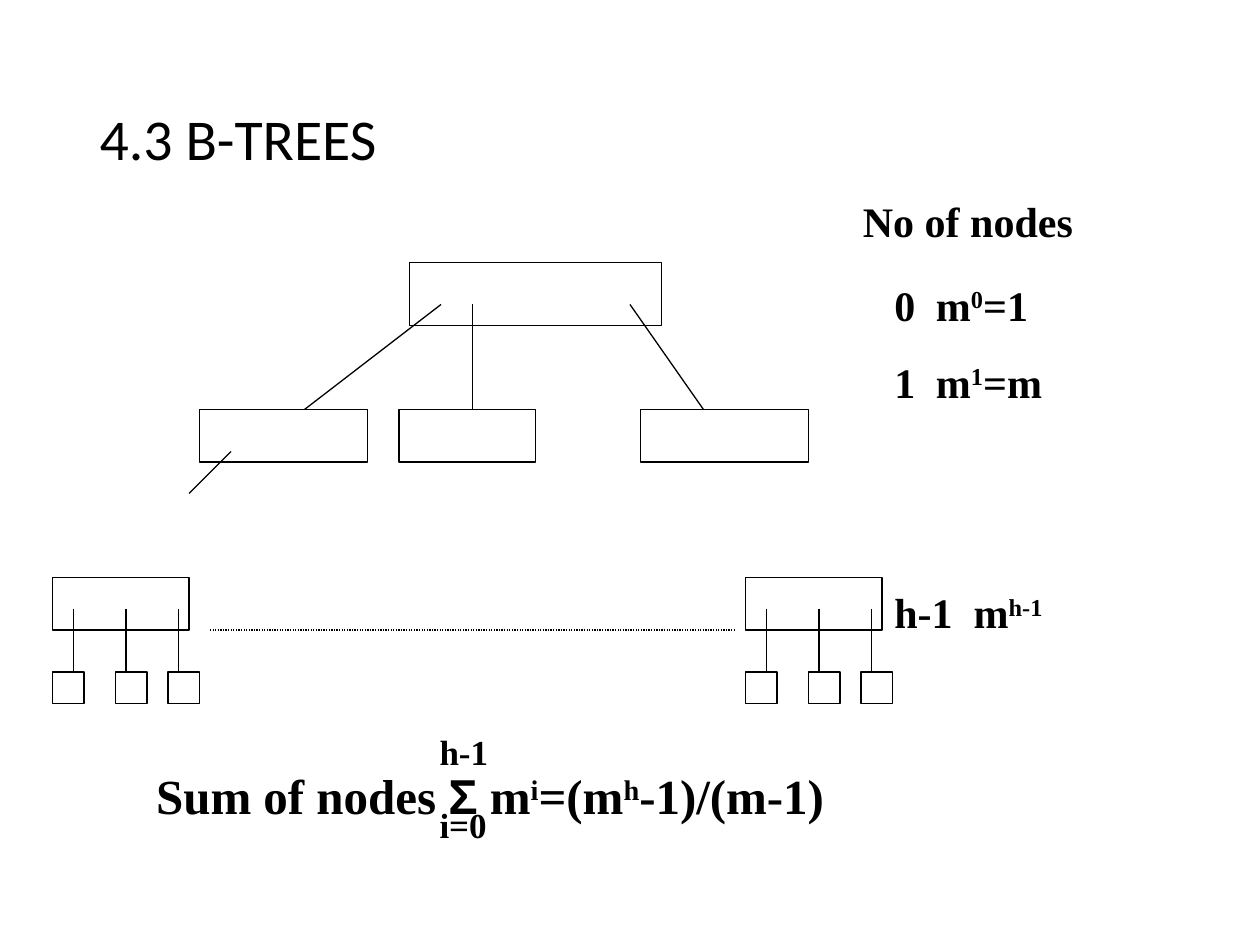
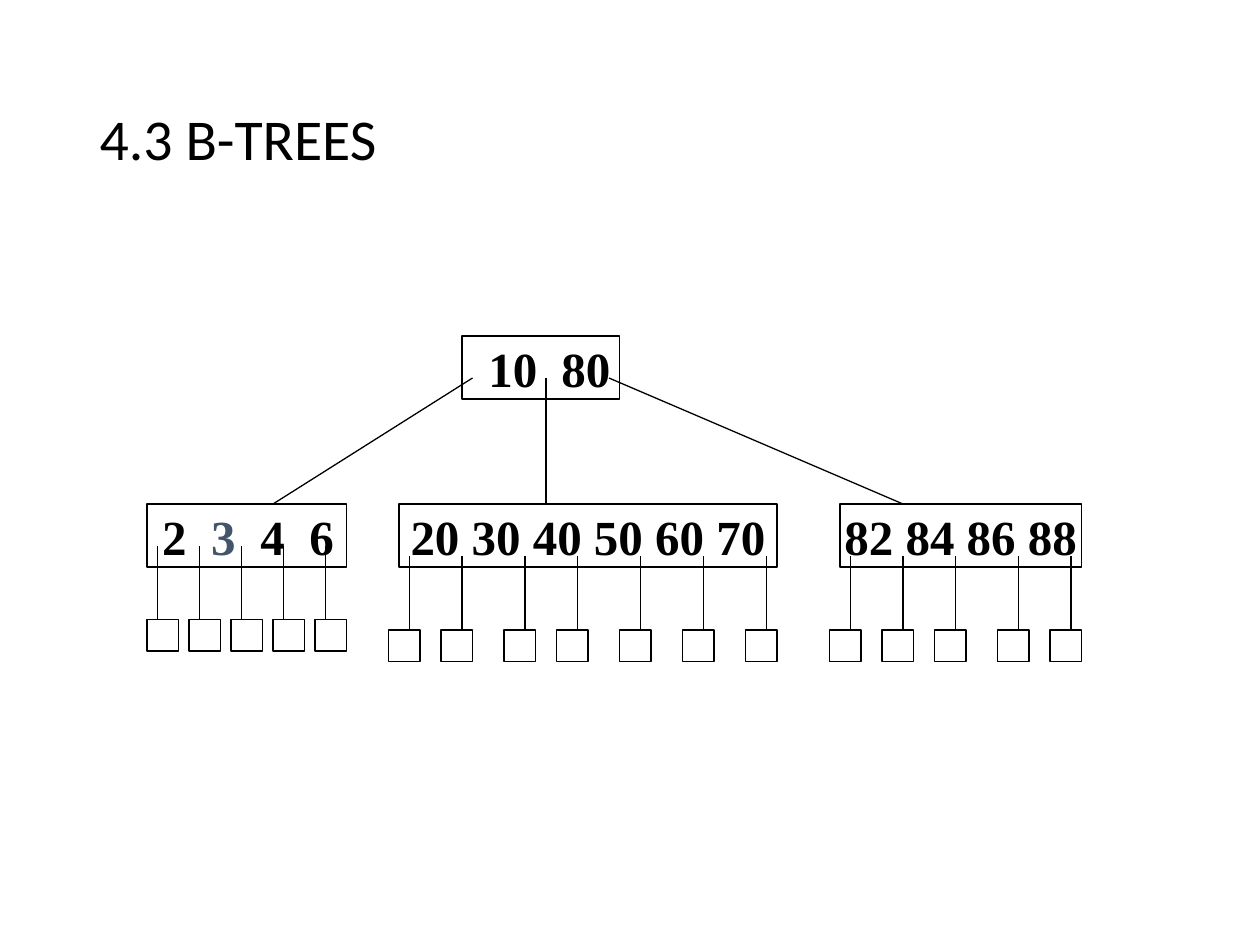
from pptx import Presentation
from pptx.dml.color import RGBColor
from pptx.enum.dml import MSO_LINE
from pptx.enum.shapes import MSO_CONNECTOR, MSO_SHAPE
from pptx.enum.text import MSO_ANCHOR, PP_ALIGN
from pptx.oxml.ns import qn
from pptx.util import Inches, Pt
from lxml.etree import SubElement

THEME = {
    "ink": RGBColor(0x00, 0x00, 0x00),
    "accent": RGBColor(0x44, 0x54, 0x6A),
    "title_font": "Calibri", "body_font": "Times New Roman", "symbol_font": "Arial",
    "title": 33, "formula": 28, "level": 24, "limit": 20, "line": 0.75,
}
GRID = 12  # grid units per inch
TITLE = "4.3 B-TREES"
TITLE_AREA = (0.69, 0.4, 8.63, 1.45)
LEAF = 3

# Text pieces are plain strings or (text, style) pairs
# Slide 1: general tree, boxes and edges in grid units
GENERAL_NODES = [(39, 25, 24, 6), (19, 39, 16, 5), (38, 39, 13, 5), (61, 39, 16, 5)]
GENERAL_EDGES = [(42, 29, 29, 39), (45, 29, 45, 39), (60, 29, 67, 39), (22, 43, 18, 47)]
BOTTOM_NODES = [5, 71]
BOTTOM_BOX = (55, 13, 5)
BOTTOM_LEAVES = [(0, 2), (6, 7), (11, 12)]  # leaf and stub offsets
BOTTOM_STUB = (58, 64)
ELLIPSIS = (20, 60, 70, 60)

LEVEL_TABS = (0.33, 0.63)
LEVELS = [  # space before, pieces
    (0, ["0\tm", ("0", "super"), "=1"]),
    (15, ["1\tm", ("1", "super"), "=m"]),
    (103, ["h-1\tm", ("h-1", "super")]),
]
SUM = ["Sum of nodes ", ("Σ", "symbol"), " m", ("i", "super"), "=(m", ("h", "super"), "-1)/(m-1)"]
NOTES = [  # area in inches, size, paragraphs, tab stops
    ((6.75, 1.5, 2.33, 0.5), "level", [(0, ["No of nodes"])], ()),
    ((7, 2.17, 2.67, 2.94), "level", LEVELS, LEVEL_TABS),
    ((1.14, 6.03, 6.38, 0.57), "formula", [(0, SUM)], ()),
    ((3.39, 6.33, 0.7, 0.44), "limit", [(0, ["i=0"])], ()),
    ((3.39, 5.75, 0.7, 0.44), "limit", [(0, ["h-1"])], ()),
]

# Slide 2: keyed tree; "tabbed" is left inset and key pitch in inches
KEYED_NODES = [
    {"box": (44, 32, 15, 6), "keys": ["10", "80"], "tabbed": (0.21, 0.58)},
    {"box": (14, 48, 19, 6), "keys": ["2", ("3", "accent"), "4", "6"], "tabbed": (0.12, 0.39),
     "leaves": [14, 18, 22, 26, 30], "stub": (1, 52, 59)},
    {"box": (38, 48, 36, 6), "keys": ["20", "30", "40", "50", "60", "70"],
     "leaves": [37, 42, 48, 53, 59, 65, 71], "stub": (2, 53, 60)},
    {"box": (80, 48, 23, 6), "keys": ["82", "84", "86", "88"],
     "leaves": [79, 84, 89, 95, 100], "stub": (2, 53, 60)},
]
KEYED_EDGES = [(45, 36, 26, 48), (52, 36, 52, 48), (58, 36, 86, 48)]


def grid(*units):
    return [Inches(unit / GRID) for unit in units]


def apply(target, formats):
    for name, value in formats.items():
        setattr(target, name, value)


def write(paragraph, pieces, size, tabs=()):
    """Write styled pieces into a paragraph with optional tab stops."""
    if tabs:
        stops = SubElement(paragraph._p.get_or_add_pPr(), qn("a:tabLst"))
        for stop in tabs:
            SubElement(stops, qn("a:tab"), pos=str(Inches(stop)), algn="l")
    for piece in pieces:
        text, style = (piece, None) if isinstance(piece, str) else piece
        run = paragraph.add_run()
        run.text = text
        apply(run.font, {"size": Pt(THEME[size]), "bold": True,
                         "name": THEME["symbol_font" if style == "symbol" else "body_font"]})
        run.font.color.rgb = THEME["accent" if style == "accent" else "ink"]
        if style == "super":
            run._r.get_or_add_rPr().set("baseline", "30000")


def add_note(slide, area, size, paragraphs, tabs):
    frame = slide.shapes.add_textbox(*map(Inches, area)).text_frame
    frame.word_wrap = True
    for index, (before, pieces) in enumerate(paragraphs):
        paragraph = frame.add_paragraph() if index else frame.paragraphs[0]
        paragraph.space_before = Pt(before)
        write(paragraph, pieces, size, tabs)


def style_line(line):
    line.color.rgb = THEME["ink"]
    line.width = Pt(THEME["line"])


def add_node(slide, *box):
    node = slide.shapes.add_shape(MSO_SHAPE.RECTANGLE, *grid(*box))
    node.shadow.inherit = False
    node.fill.background()
    style_line(node.line)
    return node


def add_edge(slide, *ends):
    edge = slide.shapes.add_connector(MSO_CONNECTOR.STRAIGHT, *grid(*ends))
    style_line(edge.line)
    SubElement(edge._element.spPr, qn("a:effectLst"))
    return edge


def add_leaf(slide, leaf_x, stub_x, stub_top, leaf_top):
    add_edge(slide, stub_x, stub_top, stub_x, leaf_top)
    add_node(slide, leaf_x, leaf_top, LEAF, LEAF)


def add_keys(node, keys, tabbed=None):
    frame = node.text_frame
    apply(frame, {"vertical_anchor": MSO_ANCHOR.MIDDLE, "word_wrap": bool(tabbed)})
    paragraph = frame.paragraphs[0]
    paragraph.alignment = PP_ALIGN.LEFT if tabbed else PP_ALIGN.CENTER
    tabs = ()
    if tabbed:
        inset, pitch = tabbed
        apply(frame, {"margin_left": Inches(inset), "margin_right": 0})
        tabs = [pitch * step for step in range(1, len(keys))]
    gap = "\t" if tabbed else " "
    pieces = [piece for key in keys for piece in (gap, key)][1:]
    write(paragraph, pieces, "formula", tabs)


def add_titled_slide(deck):
    slide = deck.slides.add_slide(deck.slide_layouts[5])
    title = slide.shapes.title
    apply(title, dict(zip(("left", "top", "width", "height"), map(Inches, TITLE_AREA))))
    title.text_frame.text = TITLE
    title.text_frame.vertical_anchor = MSO_ANCHOR.MIDDLE
    paragraph = title.text_frame.paragraphs[0]
    apply(paragraph, {"alignment": PP_ALIGN.LEFT, "line_spacing": 0.9})
    font = paragraph.runs[0].font
    apply(font, {"name": THEME["title_font"], "size": Pt(THEME["title"])})
    font.color.rgb = THEME["ink"]
    return slide


def build_general_tree(deck):
    slide = add_titled_slide(deck)
    for box in GENERAL_NODES:
        add_node(slide, *box)
    for ends in GENERAL_EDGES:
        add_edge(slide, *ends)
    for left in BOTTOM_NODES:
        add_node(slide, left, *BOTTOM_BOX)
        for leaf, stub in BOTTOM_LEAVES:
            add_leaf(slide, left + leaf, left + stub, *BOTTOM_STUB)
    add_edge(slide, *ELLIPSIS).line.dash_style = MSO_LINE.ROUND_DOT
    for note in NOTES:
        add_note(slide, *note)


def build_keyed_tree(deck):
    slide = add_titled_slide(deck)
    for content in KEYED_NODES:
        node = add_node(slide, *content["box"])
        add_keys(node, content["keys"], content.get("tabbed"))
        for leaf in content.get("leaves", []):
            offset, top, bottom = content["stub"]
            add_leaf(slide, leaf, leaf + offset, top, bottom)
    for ends in KEYED_EDGES:
        add_edge(slide, *ends)


def main():
    deck = Presentation()
    apply(deck, {"slide_width": Inches(10), "slide_height": Inches(7.5)})
    build_general_tree(deck)
    build_keyed_tree(deck)
    deck.save("out.pptx")


if __name__ == "__main__":
    main()
